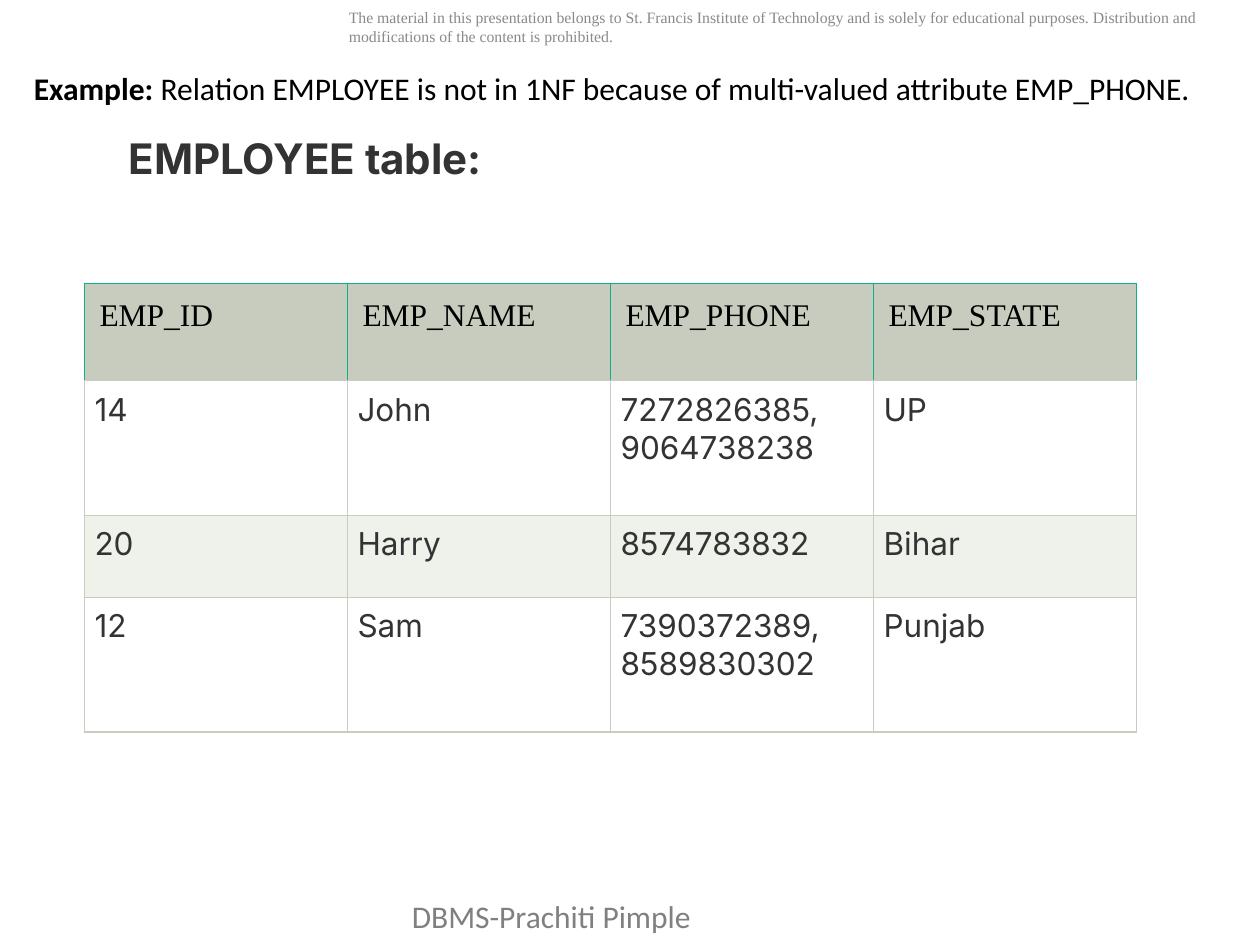
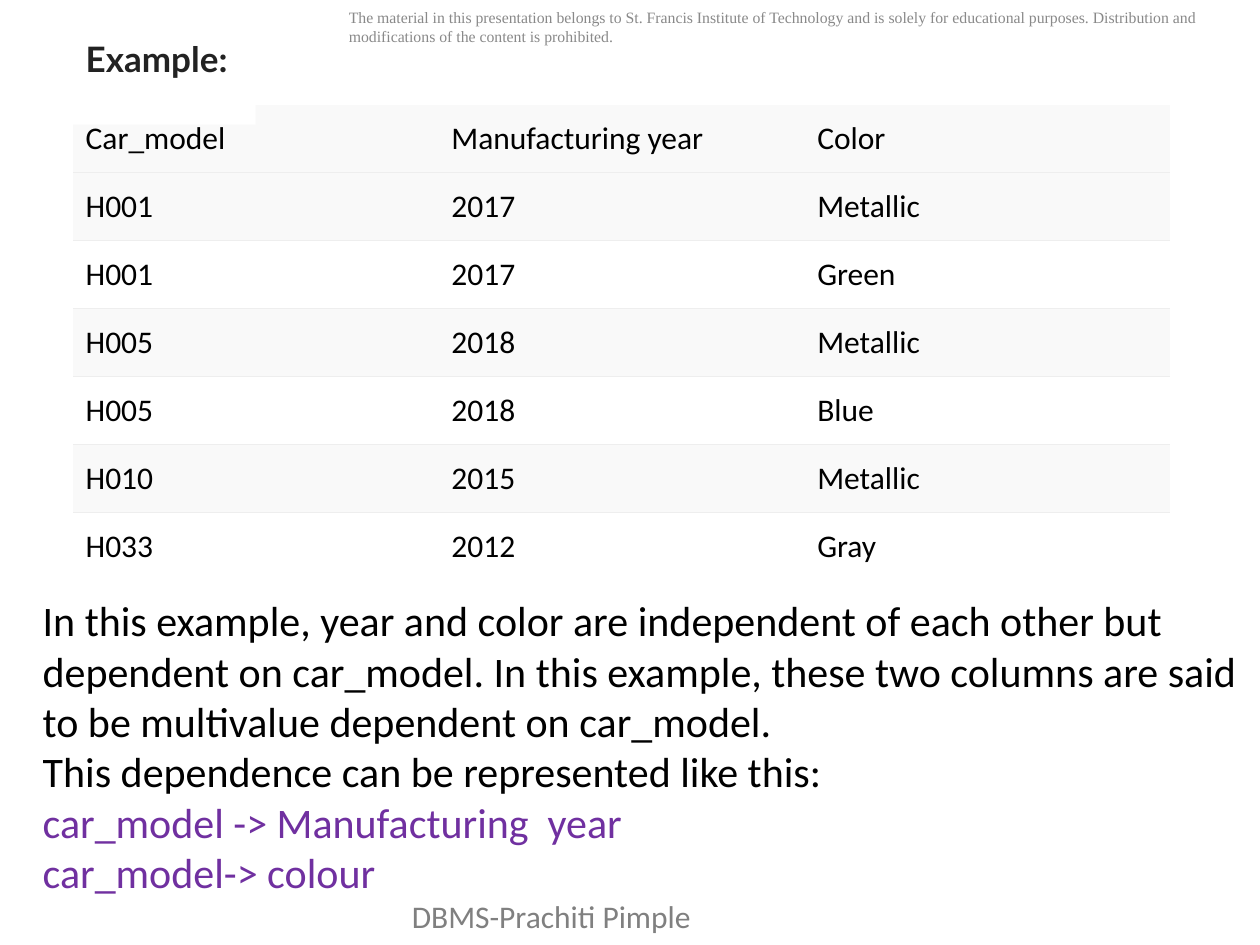
import pptx
import pptx.util
import pptx.dml.color
import pptx.enum.text
import pptx.oxml
import pptx.oxml.ns
from lxml import etree

Inches = pptx.util.Inches
Anchor = pptx.enum.text.MSO_ANCHOR
Align = pptx.enum.text.PP_ALIGN
qn = pptx.oxml.ns.qn

WIDE, HIGH = 10, 7.5
HUES = {
    "black": "000000", "white": "FFFFFF", "ink": "333333", "dark": "222222",
    "note": "898989", "foot": "808080", "purple": "7030A0",
    "sage": "C7CCBE", "mint": "EFF1EB", "teal": "10B084",
    "pale": "F9F9F9", "rule": "EEEEEE",
}
PLAIN = "{2D5ABB26-0587-4C30-8999-92F81FD0307C}"  # table style without grid

NOTE = ("The material in this presentation belongs to St. Francis Institute of "
        "Technology and is solely for educational purposes. Distribution and "
        "modifications of the content is prohibited.")
FOOT = "DBMS-Prachiti Pimple"

STAFF = [
    ("EMP_ID", "EMP_NAME", "EMP_PHONE", "EMP_STATE"),
    ("14", "John", "7272826385,\v9064738238", "UP"),
    ("20", "Harry", "8574783832", "Bihar"),
    ("12", "Sam", "7390372389,\v8589830302", "Punjab"),
]
CLAIM = ("Example:", " Relation EMPLOYEE is not in 1NF because of "
         "multi-valued attribute EMP_PHONE.")

CARS = [
    ("Car_model", "Manufacturing year", "Color"),
    ("H001", "2017", "Metallic"),
    ("H001", "2017", "Green"),
    ("H005", "2018", "Metallic"),
    ("H005", "2018", "Blue"),
    ("H010", "2015", "Metallic"),
    ("H033", "2012", "Gray"),
]
REMARKS = [
    ("In this example, year and color are independent of each other but "
     "dependent on car_model. In this example, these two columns are said "
     "to be multivalue dependent on car_model.", "black"),
    ("This dependence can be represented like this:", "black"),
    ("car_model -> Manufacturing  year", "purple"),
    ("car_model-> colour", "purple"),
]


def rgb(hue):
    return pptx.dml.color.RGBColor.from_string(HUES[hue])


def style(para, size, face, hue, bold=None, align=None):
    font = para.font
    font.size, font.name, font.bold = pptx.util.Pt(size), face, bold
    font.color.rgb = rgb(hue)
    para.alignment = align


def add_box(slide, place, lines, size, face):
    """Add wrapped text; each line is a (text, hue) pair."""
    box = slide.shapes.add_textbox(*map(Inches, place))
    frame = box.text_frame
    frame.word_wrap = True
    frame.text = "\n".join(text for text, _ in lines)
    for para, (_, hue) in zip(frame.paragraphs, lines):
        style(para, size, face, hue)
    return box


def set_title(slide, text, place, anchor, size, face, hue):
    """Format the title as a white label in front of what is there so far."""
    title = slide.shapes.title
    title.left, title.top, title.width, title.height = map(Inches, place)
    title.fill.solid()
    title.fill.fore_color.rgb = rgb("white")
    frame = title.text_frame
    frame.text = text
    frame.word_wrap = True
    frame.auto_size = pptx.enum.text.MSO_AUTO_SIZE.NONE
    frame.vertical_anchor = anchor
    style(frame.paragraphs[0], size, face, hue, True, Align.LEFT)
    slide.shapes.element.append(title.element)


def add_edge(cell, side, hue):
    props = cell._tc.get_or_add_tcPr()
    line = etree.SubElement(props, qn(f"a:ln{side}"), w="9525")
    fill = etree.SubElement(line, qn("a:solidFill"))
    etree.SubElement(fill, qn("a:srgbClr"), val=HUES[hue])


def add_grid(slide, rows, place, heights, dress):
    """Add a table of equal columns; dress(cell, row) formats each cell."""
    left, top, width = place
    frame = slide.shapes.add_table(
        len(rows), len(rows[0]), *map(Inches, (left, top, width, sum(heights))))
    table = frame.table
    table.first_row = table.horz_banding = False
    next(frame.element.iter(qn("a:tableStyleId"))).text = PLAIN
    for col in table.columns:
        col.width = Inches(width / len(rows[0]))
    for r, row in enumerate(rows):
        table.rows[r].height = Inches(heights[r])
        for c, text in enumerate(row):
            cell = table.cell(r, c)
            cell.text_frame.text = text
            dress(cell, r)


def paint(cell, hue):
    cell.fill.solid()
    cell.fill.fore_color.rgb = rgb(hue)


def dress_staff(cell, row):
    head = row == 0
    pad = Inches(0.12 if head else 0.08)
    cell.margin_left = cell.margin_right = pad
    cell.margin_top = cell.margin_bottom = pad
    for side in "LRTB":
        add_edge(cell, side, "teal" if head and side != "B" else "sage")
    paint(cell, "sage" if head else "white" if row % 2 else "mint")
    para = cell.text_frame.paragraphs[0]
    if head:
        style(para, 18, "Times New Roman", "black")
    else:
        style(para, 18, "Inter", "ink", align=Align.JUSTIFY)


def dress_car(cell, row):
    cell.vertical_anchor = Anchor.MIDDLE
    if row > 0:
        add_edge(cell, "T", "rule")
    if row < len(CARS) - 1:
        add_edge(cell, "B", "rule")
    paint(cell, "pale" if row == 0 or row % 2 else "white")
    style(cell.text_frame.paragraphs[0], 18, "Calibri", "black")


def share_bands(slide):
    """Put the notice and the footer on the layout that all slides use."""
    bands = [
        add_box(slide, (2.67, 0.01, 7.33, 0.71), [(NOTE, "note")], 9,
                "Times New Roman"),
        add_box(slide, (3.17, 7.07, 4.08, 0.4), [(FOOT, "foot")], 18, "Calibri"),
    ]
    for band in bands:
        slide.slide_layout.shapes.element.append(band.element)


def build_staff(slide):
    add_grid(slide, STAFF, (0.67, 2.25, 8.35), (0.77, 1.07, 0.65, 1.07),
             dress_staff)
    set_title(slide, "EMPLOYEE table:", (0.92, 1, 3.06, 0.5), Anchor.MIDDLE,
              24, "Inter", "ink")
    label, rest = CLAIM
    box = add_box(slide, (0.17, 0.5, WIDE - 0.17, 0.4), [(label, "black")],
                  18, "Calibri")
    para = box.text_frame.paragraphs[0]
    para.alignment = Align.JUSTIFY
    para.runs[0].font.bold = True
    para.add_run().text = rest


def build_cars(slide):
    add_grid(slide, CARS, (0.58, 0.83, 8.71), [0.54] * len(CARS), dress_car)
    set_title(slide, "Example:", (0.58, 0.25, 1.45, 0.74), Anchor.TOP,
              20, "Lato", "dark")
    add_box(slide, (0.24, 4.67, 9.75, 2.52), REMARKS, 24, "Calibri")


def main():
    deck = pptx.Presentation()
    deck.slide_width, deck.slide_height = Inches(WIDE), Inches(HIGH)
    layout = deck.slide_layouts.get_by_name("Title Only")
    first, second = [deck.slides.add_slide(layout) for _ in range(2)]
    share_bands(first)
    build_staff(first)
    build_cars(second)
    deck.save("out.pptx")


if __name__ == "__main__":
    main()
